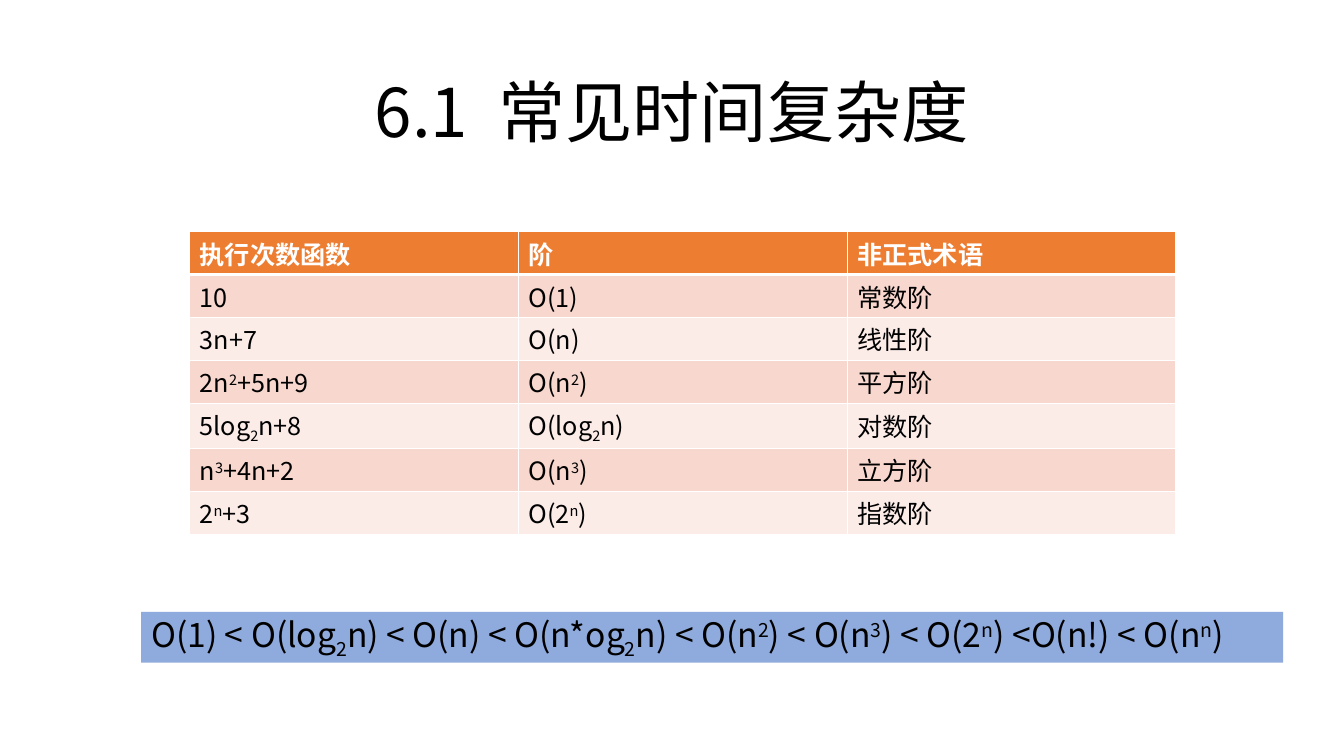
from lxml.etree import SubElement
from pptx import Presentation
from pptx.dml.color import RGBColor
from pptx.enum.shapes import MSO_SHAPE
from pptx.enum.text import MSO_ANCHOR, MSO_AUTO_SIZE, PP_ALIGN
from pptx.oxml import parse_xml
from pptx.oxml.ns import nsdecls, qn
from pptx.util import Cm, Pt

HEADING = "6.1  常见时间复杂度"
COMPLEXITIES = [
    ("执行次数函数", "阶", "非正式术语"),
    ("10", "O(1)", "常数阶"),
    ("3n+7", "O(n)", "线性阶"),
    ("2n^2+5n+9", "O(n^2)", "平方阶"),
    ("5log_2n+8", "O(log_2n)", "对数阶"),
    ("n^3+4n+2", "O(n^3)", "立方阶"),
    ("2^n+3", "O(2^n)", "指数阶"),
]
ORDERING = ("O(1) < O(log_2n) < O(n) < O(n*og_2n) < O(n^2) < O(n^3)"
            " < O(2^n) <O(n!) < O(n^n)")
FONT = "Noto Sans CJK SC"
SHIFTS = {"^": "30000", "_": "-25000"}
HEADER_FILL = "ED7D31"
ROW_FILLS = ("FCECE8", "F8D7CE")
ROW_HEIGHT = Cm(1.08)


def rgb(value):
    return RGBColor.from_string(value)


def write(frame, text, size, color="000000", bold=False, align=PP_ALIGN.LEFT):
    paragraph = frame.paragraphs[0]
    paragraph.alignment = align

    def add_piece(piece, shift=None):
        if not piece:
            return
        run = paragraph.add_run()
        run.text = piece
        run.font.name = FONT
        run.font.size = Pt(size)
        run.font.bold = bold
        run.font.color.rgb = rgb(color)
        properties = run.font._element
        SubElement(properties, qn("a:ea")).set("typeface", FONT)
        if shift:
            properties.set("baseline", shift)

    for part in text.replace("^", "|^").replace("_", "|_").split("|"):
        if part[0] in SHIFTS:
            add_piece(part[1], SHIFTS[part[0]])
            add_piece(part[2:])
        else:
            add_piece(part)


def fit_line(frame):
    frame.word_wrap = True
    frame.auto_size = MSO_AUTO_SIZE.NONE
    frame.vertical_anchor = MSO_ANCHOR.MIDDLE
    frame.margin_top = frame.margin_bottom = 0


def set_borders(cell, widths):
    properties = cell._tc.get_or_add_tcPr()
    for index, (side, width) in enumerate(zip("LRTB", widths)):
        properties.insert(index, parse_xml(
            f'<a:ln{side} {nsdecls("a")} w="{Pt(width)}"><a:solidFill>'
            f'<a:srgbClr val="FFFFFF"/></a:solidFill></a:ln{side}>'))


def add_heading(slide):
    heading = slide.shapes.title
    heading.left, heading.top = Cm(2.54), Cm(1.63)
    heading.width, heading.height = Cm(28.78), Cm(2.31)
    fit_line(heading.text_frame)
    write(heading.text_frame, HEADING, 48, align=PP_ALIGN.CENTER)


def add_complexities(slide):
    count = len(COMPLEXITIES)
    table = slide.shapes.add_table(count, len(COMPLEXITIES[0]), Cm(4.78), Cm(5.84),
                                   Cm(24.86), ROW_HEIGHT * count).table
    for r, entries in enumerate(COMPLEXITIES):
        table.rows[r].height = ROW_HEIGHT
        header = r == 0
        for c, entry in enumerate(entries):
            cell = table.cell(r, c)
            cell.margin_top = cell.margin_bottom = Cm(0.07)
            cell.vertical_anchor = MSO_ANCHOR.MIDDLE
            cell.fill.solid()
            cell.fill.fore_color.rgb = rgb(HEADER_FILL if header else ROW_FILLS[r % 2])
            set_borders(cell, (1, 1, 3 if r == 1 else 1, 3 if header else 1))
            write(cell.text_frame, entry, 18, bold=header,
                  color="FFFFFF" if header else "000000")


def add_ordering(slide):
    ordering = slide.shapes.add_shape(MSO_SHAPE.RECTANGLE, Cm(3.56), Cm(15.42),
                                      Cm(28.78), Cm(1.28))
    ordering.shadow.inherit = False
    ordering.fill.solid()
    ordering.fill.fore_color.rgb = rgb("8FAADC")
    ordering.line.fill.background()
    fit_line(ordering.text_frame)
    write(ordering.text_frame, ORDERING, 24)


def main():
    deck = Presentation()
    deck.slide_width, deck.slide_height = Cm(33.87), Cm(19.05)
    slide = deck.slides.add_slide(deck.slide_layouts[5])
    add_heading(slide)
    add_complexities(slide)
    add_ordering(slide)
    deck.save("out.pptx")


if __name__ == "__main__":
    main()
